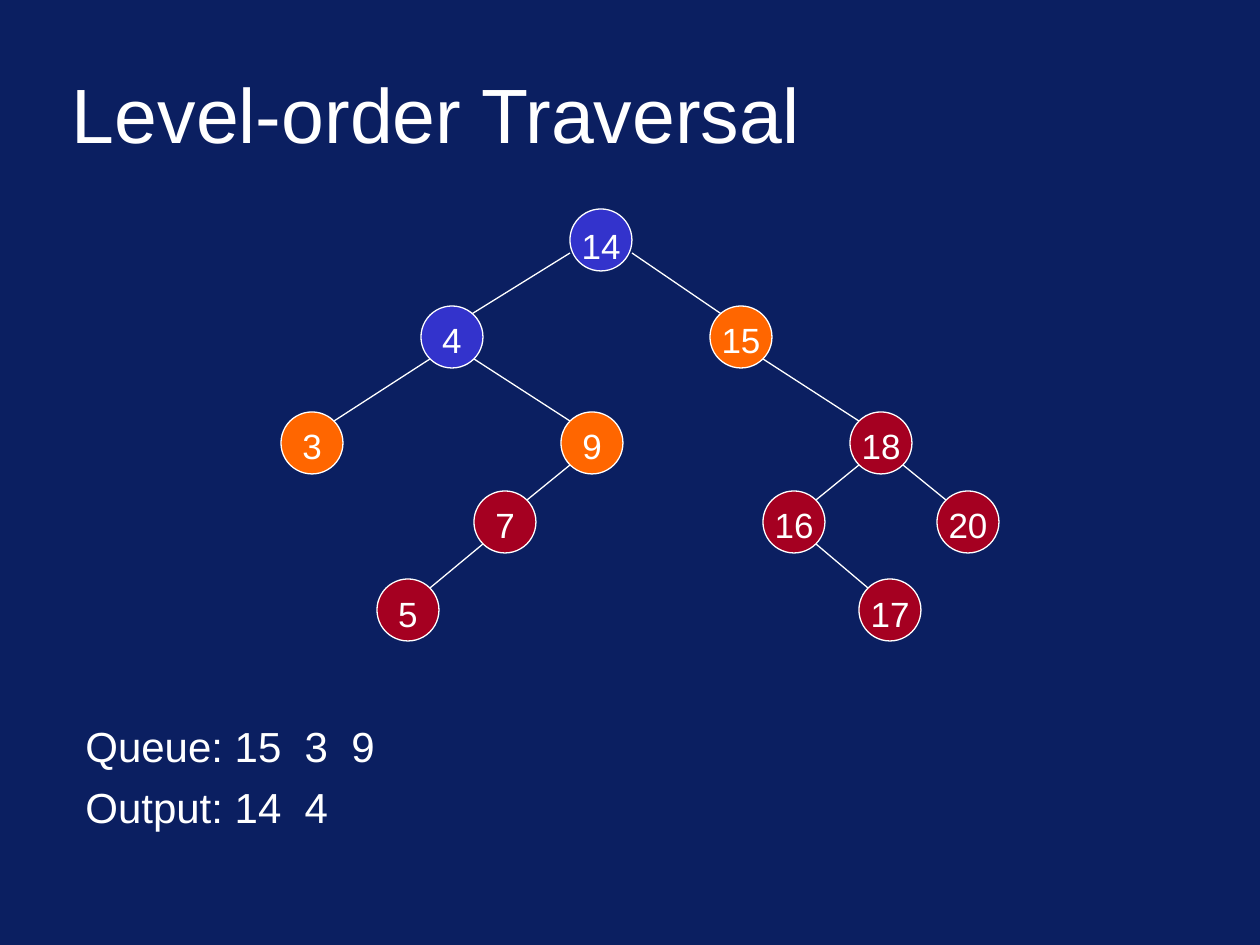
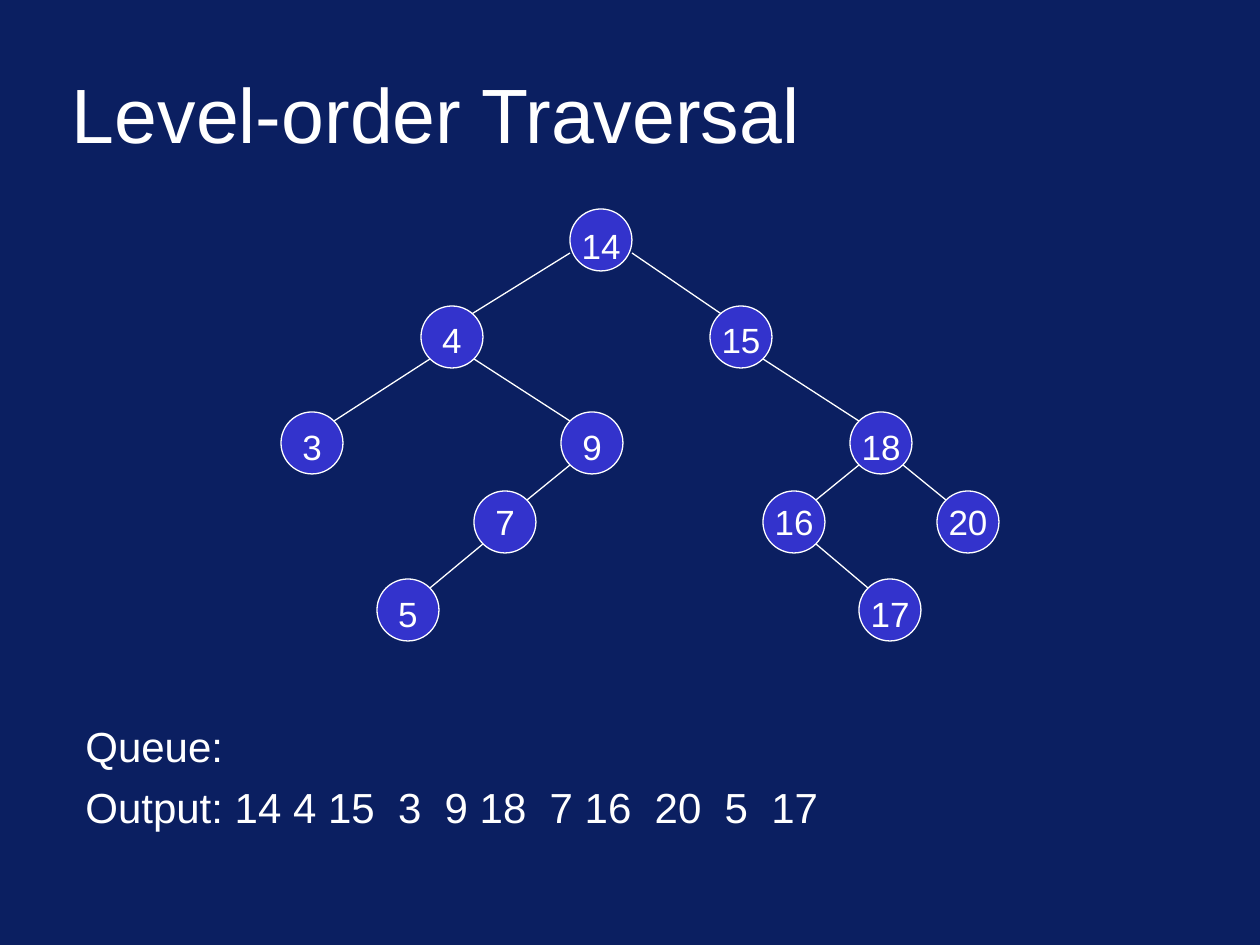
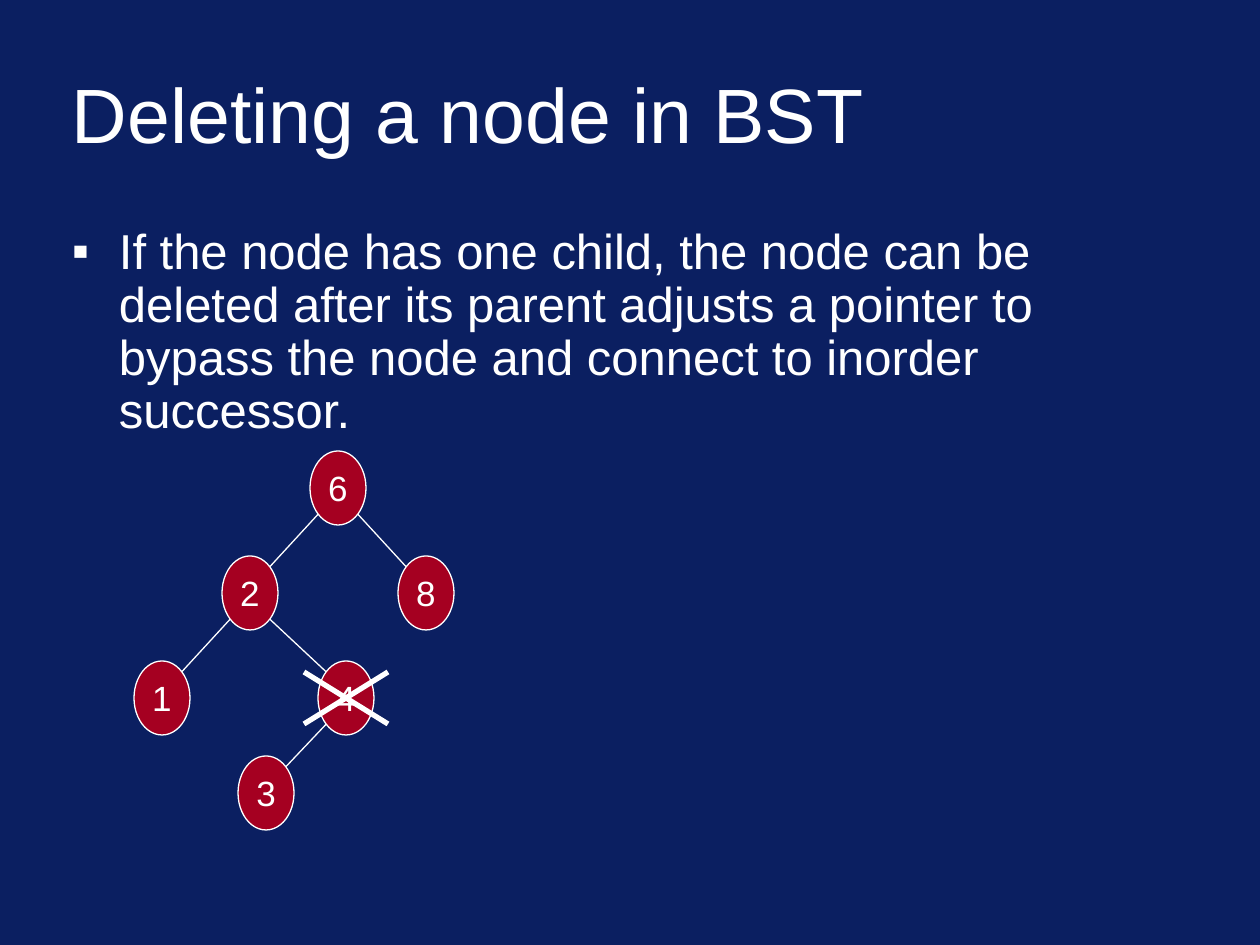
from dataclasses import dataclass
from math import sqrt

from lxml.etree import SubElement
from pptx import Presentation
from pptx.dml.color import RGBColor
from pptx.enum.shapes import MSO_CONNECTOR, MSO_SHAPE
from pptx.enum.text import MSO_ANCHOR, MSO_AUTO_SIZE, PP_ALIGN
from pptx.oxml.ns import qn
from pptx.util import Pt

EMU_PER_PX = 914400 / 126


def px(length: float) -> int:
    return round(length * EMU_PER_PX)


# Shared look
@dataclass(frozen=True)
class Theme:
    font: str = "Arial"
    background: str = "0B1F61"
    ink: str = "FFFFFF"
    visited: str = "3333CC"
    queued: str = "FF6600"
    waiting: str = "A50021"
    title_size: int = 44
    body_size: int = 28
    queue_size: int = 24
    label_size: int = 20
    thin: float = 0.75
    thick: float = 3


@dataclass(frozen=True)
class Node:
    x: int  # centre
    y: int
    parent: int | None = None


@dataclass(frozen=True)
class TreeStyle:
    width: int
    height: int
    label_width: int
    label_drops: tuple[int, ...]  # label shift below the node's centre, by level
    wide_root: bool = False  # root edges leave from the sides of its frame


@dataclass(frozen=True)
class Traversal:
    queue: str
    output: str
    style: TreeStyle


THEME = Theme()
LABEL_HEIGHT = 55
INDENT = 47

TRAVERSAL_TREE = {
    14: Node(601, 240),
    4: Node(452, 337, 14),
    15: Node(741, 337, 14),
    3: Node(312, 443, 4),
    9: Node(592, 443, 4),
    18: Node(881, 443, 15),
    7: Node(505, 522, 9),
    16: Node(794, 522, 18),
    20: Node(968, 522, 18),
    5: Node(408, 610, 7),
    17: Node(890, 610, 16),
}
DELETION_TREE = {
    6: Node(338, 488),
    2: Node(250, 593, 6),
    8: Node(426, 593, 6),
    1: Node(162, 698, 2),
    4: Node(346, 698, 2),
    3: Node(266, 793, 4),
}
TRAVERSALS = (
    Traversal("15  3  9", "14  4", TreeStyle(62, 62, 79, (6, 3, 3, 3, 4), True)),
    Traversal("", "14 4 15  3  9 18  7 16  20  5  17",
              TreeStyle(62, 62, 79, (6, 3, 4, 0, 4), True)),
)
DELETION_STYLE = TreeStyle(56, 74, 72, (0, 0, 0, 0))


# Text
def add_span(para, text: str, size: int) -> None:
    span = para.add_run()
    span.text = text
    span.font.name = THEME.font
    span.font.size = Pt(size)
    span.font.color.rgb = RGBColor.from_string(THEME.ink)


def place(box, left: int, top: int, width: int, height: int) -> None:
    box.left, box.top, box.width, box.height = map(px, (left, top, width, height))


def prepare_placeholder(box) -> None:
    frame = box.text_frame
    frame.word_wrap = True
    frame.auto_size = MSO_AUTO_SIZE.NONE
    frame.margin_left = frame.margin_right = px(9)
    frame.margin_top = frame.margin_bottom = px(6)


def add_page(deck, layout_name: str, title: str):
    page = deck.slides.add_slide(deck.slide_layouts.get_by_name(layout_name))
    box = page.shapes.title
    place(box, 63, 50, 1134, 126)
    prepare_placeholder(box)
    box.text_frame.vertical_anchor = MSO_ANCHOR.MIDDLE
    para = box.text_frame.paragraphs[0]
    para.alignment = PP_ALIGN.LEFT
    add_span(para, title, THEME.title_size)
    return page


def fill_body(box, text: str) -> None:
    place(box, 63, 221, 1134, 230)
    prepare_placeholder(box)
    para = box.text_frame.paragraphs[0]
    para.line_spacing = 0.9
    para.space_before = Pt(7)
    add_span(para, text, THEME.body_size)
    properties = para._p.get_or_add_pPr()
    properties.set("marL", str(px(INDENT)))
    properties.set("indent", str(-px(INDENT)))
    colour = SubElement(properties, qn("a:buClr"))
    SubElement(colour, qn("a:srgbClr"), val=THEME.ink)
    SubElement(properties, qn("a:buFont"), typeface=THEME.font)
    SubElement(properties, qn("a:buChar"), char="▪")


def add_state(page, traversal: Traversal) -> None:
    box = page.shapes.add_textbox(px(73), px(714), px(1134), px(126))
    frame = box.text_frame
    frame.word_wrap = True
    lines = (f"Queue: {traversal.queue}".strip(), f"Output: {traversal.output}")
    for index, line in enumerate(lines):
        para = frame.add_paragraph() if index else frame.paragraphs[0]
        para.space_before = Pt(6)
        add_span(para, line, THEME.queue_size)


# Tree
def add_line(page, x1: float, y1: float, x2: float, y2: float, weight: float) -> None:
    line = page.shapes.add_connector(MSO_CONNECTOR.STRAIGHT, px(x1), px(y1), px(x2), px(y2))
    line.line.color.rgb = RGBColor.from_string(THEME.ink)
    line.line.width = Pt(weight)
    SubElement(line._element.spPr, qn("a:effectLst"))


def add_edge(page, parent: Node, child: Node, style: TreeStyle) -> None:
    side = 1 if child.x > parent.x else -1
    # Edges meet the ellipses at their diagonal points
    reach_x = style.width / 2 / sqrt(2)
    reach_y = style.height / 2 / sqrt(2)
    start_x, start_y, end_x = reach_x, reach_y, reach_x
    if style.wide_root and parent.parent is None:
        start_x, start_y, end_x = style.width / 2, 13, 18
    add_line(page, parent.x + side * start_x, parent.y + start_y,
             child.x - side * end_x, child.y - reach_y, THEME.thin)


def add_node(page, key: int, node: Node, colour: str, style: TreeStyle, level: int) -> None:
    oval = page.shapes.add_shape(
        MSO_SHAPE.OVAL, px(node.x - style.width / 2), px(node.y - style.height / 2),
        px(style.width), px(style.height))
    oval.shadow.inherit = False
    oval.fill.solid()
    oval.fill.fore_color.rgb = RGBColor.from_string(colour)
    oval.line.color.rgb = RGBColor.from_string(THEME.ink)
    oval.line.width = Pt(THEME.thin)

    top = node.y - LABEL_HEIGHT / 2 + style.label_drops[level]
    label = page.shapes.add_textbox(
        px(node.x - style.label_width / 2), px(top), px(style.label_width), px(LABEL_HEIGHT))
    label.text_frame.word_wrap = True
    label.text_frame.auto_size = MSO_AUTO_SIZE.SHAPE_TO_FIT_TEXT
    para = label.text_frame.paragraphs[0]
    para.alignment = PP_ALIGN.CENTER
    add_span(para, str(key), THEME.label_size)


def add_tree(page, tree: dict[int, Node], style: TreeStyle, colours: dict[int, str]) -> None:
    levels: dict[int, int] = {}
    for key, node in tree.items():
        levels[key] = 0 if node.parent is None else levels[node.parent] + 1
        if node.parent is not None:
            add_edge(page, tree[node.parent], node, style)
    for key, node in tree.items():
        add_node(page, key, node, colours.get(key, THEME.waiting), style, levels[key])


def add_cross(page, node: Node) -> None:
    for rise in (26, -26):
        add_line(page, node.x - 42, node.y + rise, node.x + 42, node.y - rise, THEME.thick)


# Slides
def add_traversal_page(deck, traversal: Traversal) -> None:
    page = add_page(deck, "Title Only", "Level-order Traversal")
    add_state(page, traversal)
    colours = {int(key): THEME.queued for key in traversal.queue.split()}
    colours |= {int(key): THEME.visited for key in traversal.output.split()}
    add_tree(page, TRAVERSAL_TREE, traversal.style, colours)


def add_deletion_page(deck) -> None:
    page = add_page(deck, "Title and Content", "Deleting a node in BST")
    fill_body(page.placeholders[1],
              "If the node has one child, the node can be deleted after its parent adjusts "
              "a pointer to bypass the node and connect to inorder successor.")
    add_tree(page, DELETION_TREE, DELETION_STYLE, {})
    add_cross(page, DELETION_TREE[4])


def main() -> None:
    deck = Presentation()
    deck.slide_width, deck.slide_height = px(1260), px(945)
    background = deck.slide_master.background.fill
    background.solid()
    background.fore_color.rgb = RGBColor.from_string(THEME.background)
    for traversal in TRAVERSALS:
        add_traversal_page(deck, traversal)
    add_deletion_page(deck)
    deck.save("out.pptx")


if __name__ == "__main__":
    main()
